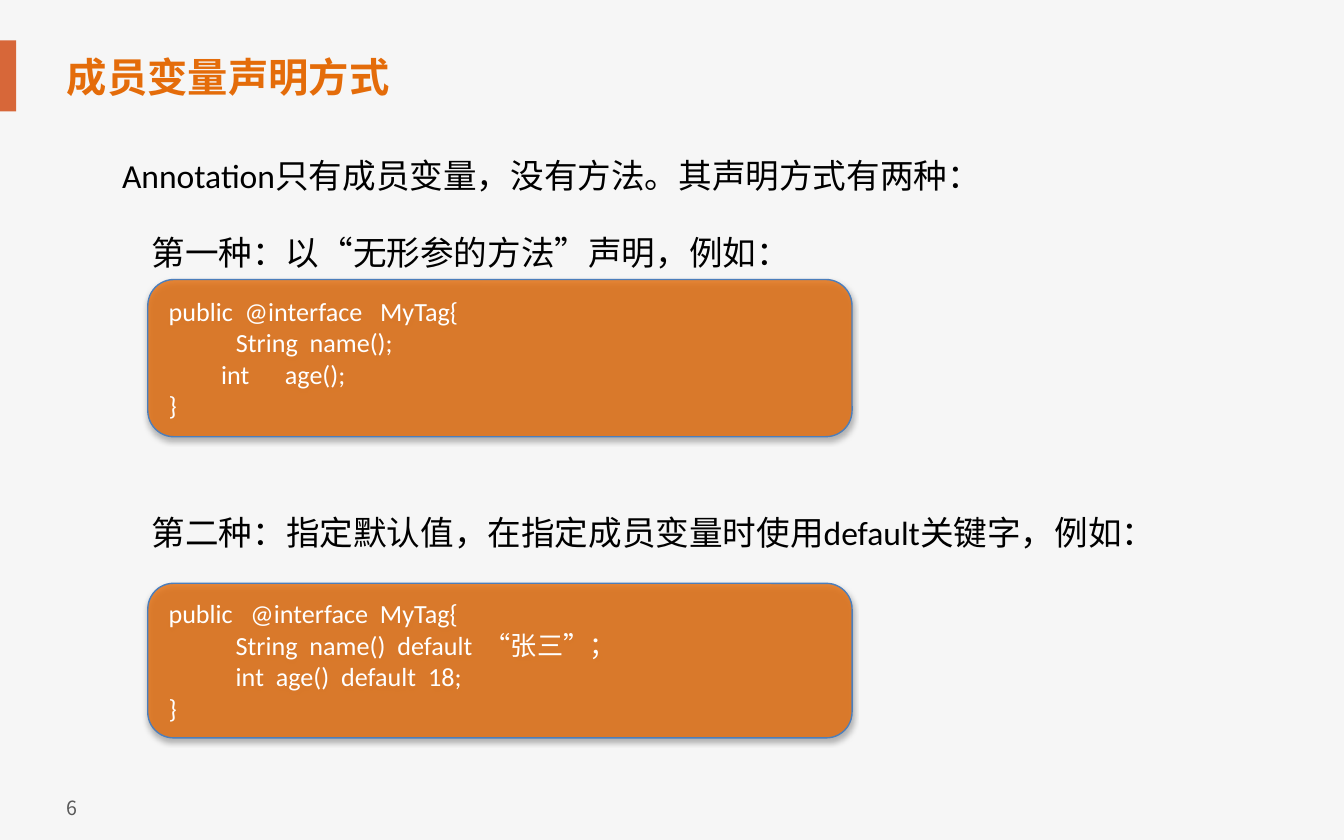
from dataclasses import dataclass

from lxml import etree
from pptx import Presentation
from pptx import util as u
from pptx.dml.color import RGBColor
from pptx.enum import shapes, text
from pptx.oxml import ns

PX = 9144  # EMU in one px, 100 px to the inch


@dataclass(frozen=True)
class Theme:
    background: str = "F6F6F6"
    bar: str = "D76739"
    accent: str = "E46C0A"
    outline: str = "4B7EBC"
    shadow: str = "000000"
    body: str = "000000"
    code: str = "FFFFFF"
    muted: str = "595959"
    latin: str = "Calibri"
    cjk: str = "Noto Sans CJK SC"
    title_size: float = 21.6
    body_size: float = 18
    code_size: float = 14
    number_size: float = 10.5


def add_xml(parent, tag, **attrs):
    child = etree.SubElement(parent, ns.qn(tag))
    for name, value in attrs.items():
        child.set(name, str(value))
    return child


def write(p, words, size, color, latin, cjk, bold=False, indent=0):
    """Fill paragraph p with one formatted run, indented by px."""
    p.alignment = text.PP_ALIGN.LEFT
    if indent:
        p._p.get_or_add_pPr().set("marL", str(indent * PX))
    r = p.add_run()
    r.text = words
    r.font.size = u.Pt(size)
    r.font.bold = bold
    r.font.name = latin
    r.font.color.rgb = RGBColor.from_string(color)
    add_xml(r._r.rPr, "a:ea", typeface=cjk)


class SlideBuilder:
    def __init__(self, slide, theme):
        self.s = slide
        self.theme = theme
        fill = slide.background.fill
        fill.solid()
        fill.fore_color.rgb = RGBColor.from_string(theme.background)

    def shape(self, kind, box, color):
        sp = self.s.shapes.add_shape(kind, *(n * PX for n in box))
        sp.shadow.inherit = False
        sp.fill.solid()
        sp.fill.fore_color.rgb = RGBColor.from_string(color)
        sp.line.fill.background()
        return sp

    def label(self, words, box, size, color, latin=None, bold=False,
              anchor=text.MSO_ANCHOR.TOP):
        tf = self.s.shapes.add_textbox(*(n * PX for n in box)).text_frame
        tf.word_wrap = True
        tf.vertical_anchor = anchor
        write(tf.paragraphs[0], words, size, color, latin or self.theme.latin,
              self.theme.cjk, bold=bold)

    def code_card(self, lines, box):
        """Draw a translucent rounded card; lines are (indent, code) pairs."""
        t = self.theme
        sp = self.shape(shapes.MSO_SHAPE.ROUNDED_RECTANGLE, box, t.accent)
        sp.line.color.rgb = RGBColor.from_string(t.outline)
        sp.line.width = u.Pt(0.75)
        props = sp._element.spPr
        fill = props.find(ns.qn("a:solidFill")).find(ns.qn("a:srgbClr"))
        add_xml(fill, "a:alpha", val=80000)
        shadow = add_xml(props.find(ns.qn("a:effectLst")), "a:outerShdw",
                         blurRad=u.Pt(3.1), dist=u.Pt(1.8), dir=5400000,
                         rotWithShape=0)
        shade = add_xml(shadow, "a:srgbClr", val=t.shadow)
        add_xml(shade, "a:alpha", val=35000)

        tf = sp.text_frame
        tf.word_wrap = True
        tf.vertical_anchor = text.MSO_ANCHOR.MIDDLE
        for i, (indent, code) in enumerate(lines):
            p = tf.add_paragraph() if i else tf.paragraphs[0]
            write(p, code, t.code_size, t.code, t.latin, t.cjk, indent=indent)


def main():
    prs = Presentation()
    prs.slide_width, prs.slide_height = 1000 * PX, 625 * PX
    t = Theme()
    b = SlideBuilder(prs.slides.add_slide(prs.slide_layouts[6]), t)

    b.shape(shapes.MSO_SHAPE.RECTANGLE, (0, 30, 12, 53), t.bar)
    b.label("6", (40, 587, 40, 28), t.number_size, t.muted, latin=t.cjk)
    b.label("成员变量声明方式", (40, 33, 702, 48), t.title_size, t.accent,
            latin=t.cjk, bold=True, anchor=text.MSO_ANCHOR.MIDDLE)

    for words, box in (
        ("Annotation只有成员变量，没有方法。其声明方式有两种：", (81, 110, 687, 40)),
        ("第一种：以“无形参的方法”声明，例如：", (103, 168, 477, 40)),
        ("第二种：指定默认值，在指定成员变量时使用default关键字，例如：", (103, 376, 755, 40)),
    ):
        b.label(words, box, t.body_size, t.body)

    b.code_card([
        (0, "public  @interface   MyTag{"),
        (50, "String  name();"),
        (39, "int      age();"),
        (0, "}"),
    ], (110, 208, 524, 117))
    b.code_card([
        (0, "public   @interface  MyTag{"),
        (50, "String  name()  default  “张三”；"),
        (50, "int  age()  default  18;"),
        (0, "}"),
    ], (110, 434, 524, 115))

    prs.save("out.pptx")


if __name__ == "__main__":
    main()
